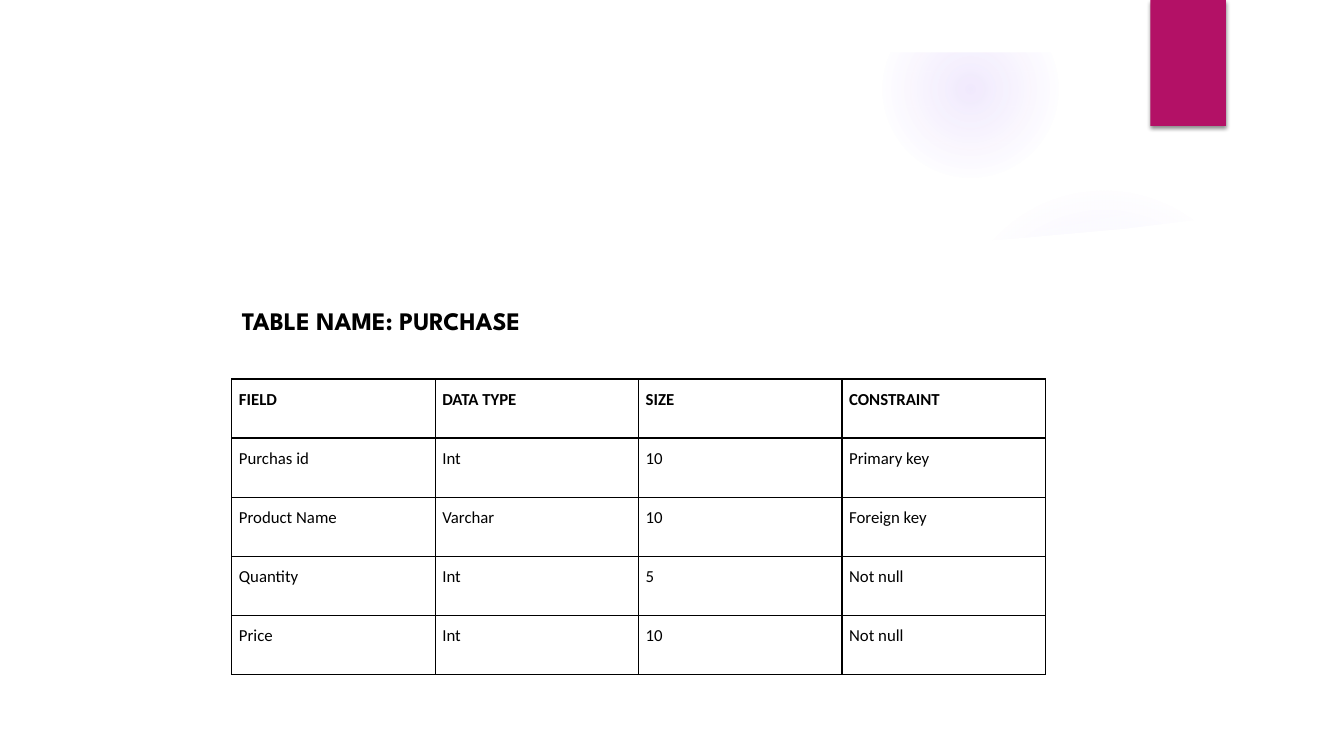
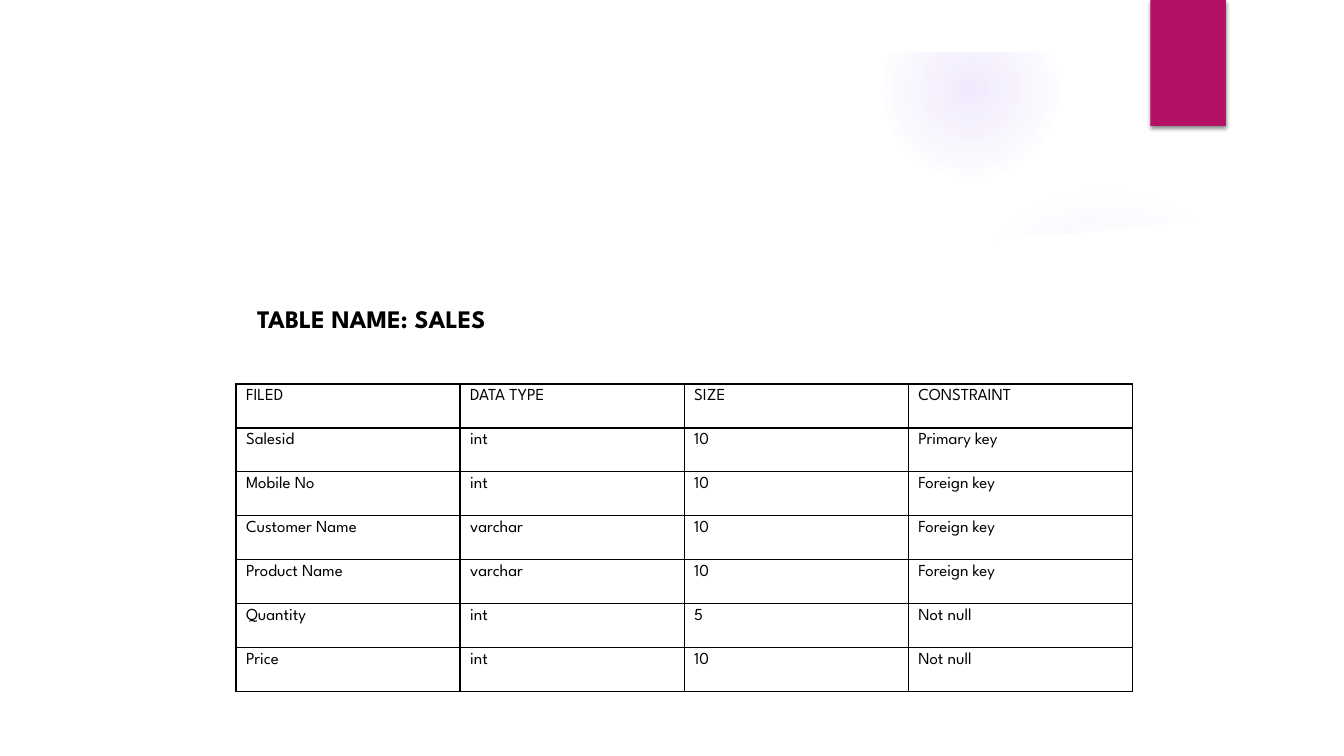
import dataclasses
from typing import Optional

import pptx
import pptx.dml.color
import pptx.enum.shapes
import pptx.enum.text
import pptx.oxml
import pptx.oxml.ns
import pptx.util
from pptx.util import Inches

SHAPE = pptx.enum.shapes.MSO_SHAPE
A_NS = pptx.oxml.ns.nsdecls("a")
qn = pptx.oxml.ns.qn


@dataclasses.dataclass(frozen=True)
class Theme:
    paper: str = "FFFFFF"
    ink: str = "000000"
    accent: str = "B31166"
    glow: str = "9B6BF2"
    display: str = "League Spartan"
    body: str = "Calibri"
    title_size: float = 18
    cell_size: float = 12
    border: float = 1


THEME = Theme()


@dataclasses.dataclass(frozen=True)
class Glow:
    left: float
    top: float
    size: float
    stops: tuple[tuple[int, int], ...]  # position and opacity, in percent


@dataclasses.dataclass(frozen=True)
class CellStyle:
    font: str
    bold_header: bool = False
    fill: Optional[str] = None
    margin_x: float = 0.1
    margin_y: float = 0.05
    line_spacing: Optional[float] = None
    before: float = 0
    after: float = 0


@dataclasses.dataclass(frozen=True)
class SchemaSlide:
    title: str
    title_box: tuple[float, float, float, float]
    title_margin: float
    table_box: tuple[float, float, float, float]
    style: CellStyle
    rows: tuple[tuple[str, ...], ...]


GLOWS = (
    Glow(9.41, 1.83, 3.08, ((0, 7), (36, 6), (69, 0))),
    Glow(8.75, 0.01, 1.75, ((0, 14), (36, 7), (73, 0))),
)

# Outlines in inches
SHEEN = ((9.34, 2.5), (10, 2.48), (11.5, 2.33), (12.89, 2.14), (12.83, 1.66),
         (12.25, 1.85), (11.67, 2), (11.09, 2.14), (10.53, 2.25),
         (9.99, 2.34), (9.49, 2.41), (9.3, 2.43))
PANEL = ((0.5, 2.04), (0.5, 7), (12.84, 7), (12.84, 2.04), (12.28, 2.13),
         (11.72, 2.2), (11.16, 2.27), (10.6, 2.32), (10.04, 2.37),
         (9.49, 2.41), (8.94, 2.44), (8.4, 2.46), (7.6, 2.47), (6.82, 2.48),
         (6.07, 2.47), (5.35, 2.45), (4.44, 2.41), (3.6, 2.36), (2.83, 2.3),
         (2.16, 2.24), (1.59, 2.18), (1.13, 2.12), (0.79, 2.08))

SLIDES = (
    SchemaSlide(
        "TABLE NAME: PURCHASE", (2.3, 2.98, 5.63, 0.4), 0.1,
        (2.3, 3.76, 8.07, 2.93),
        CellStyle(THEME.body, bold_header=True, fill=THEME.paper, margin_x=0.07,
                  margin_y=0, line_spacing=1.5, before=5, after=10),
        (("FIELD", "DATA TYPE", "SIZE", "CONSTRAINT"),
         ("Purchas id", "Int", "10", "Primary key"),
         ("Product Name", "Varchar", "10", "Foreign key"),
         ("Quantity", "Int", "5", "Not null"),
         ("Price", "Int", "10", "Not null")),
    ),
    SchemaSlide(
        "TABLE NAME: SALES", (2.33, 2.96, 5.66, 0.4), 0.22,
        (2.34, 3.81, 8.89, 3.05),
        CellStyle(THEME.display),
        (("FILED", "DATA TYPE", "SIZE", "CONSTRAINT"),
         ("Salesid", "int", "10", "Primary key"),
         ("Mobile No", "int", "10", "Foreign key"),
         ("Customer Name", "varchar", "10", "Foreign key"),
         ("Product Name", "varchar", "10", "Foreign key"),
         ("Quantity", "int", "5", "Not null"),
         ("Price", "int", "10", "Not null")),
    ),
)


def rgb(color: str) -> pptx.dml.color.RGBColor:
    return pptx.dml.color.RGBColor.from_string(color)


def write_text(tf, text: str, *, font: str, size: float, bold: bool = False,
               color: str = THEME.ink, line_spacing: Optional[float] = None,
               before: float = 0, after: float = 0) -> None:
    p = tf.paragraphs[0]
    p.alignment = pptx.enum.text.PP_ALIGN.LEFT
    p.space_before, p.space_after = pptx.util.Pt(before), pptx.util.Pt(after)
    if line_spacing:
        p.line_spacing = line_spacing
    r = p.add_run()
    r.text = text
    r.font.name, r.font.size, r.font.bold = font, pptx.util.Pt(size), bold
    r.font.color.rgb = rgb(color)


# Backdrop
def paint(sp, color: str, opacity: int = 100) -> None:
    sp.shadow.inherit = False
    sp.line.fill.background()
    sp.fill.solid()
    sp.fill.fore_color.rgb = rgb(color)
    if opacity < 100:
        clr = sp.element.spPr.find(qn("a:solidFill"))[0]
        clr.append(pptx.oxml.parse_xml(
            f'<a:alpha {A_NS} val="{opacity * 1000}"/>'))


def add_glow(s, glow: Glow):
    sp = s.shapes.add_shape(SHAPE.OVAL, Inches(glow.left), Inches(glow.top),
                            Inches(glow.size), Inches(glow.size))
    paint(sp, THEME.glow)
    stops = "".join(
        f'<a:gs pos="{pos * 1000}"><a:srgbClr val="{THEME.glow}">'
        f'<a:alpha val="{opacity * 1000}"/></a:srgbClr></a:gs>'
        for pos, opacity in glow.stops)
    gradient = pptx.oxml.parse_xml(
        f'<a:gradFill {A_NS} rotWithShape="1"><a:gsLst>{stops}</a:gsLst>'
        '<a:path path="circle"><a:fillToRect l="50000" t="50000" r="50000" '
        'b="50000"/></a:path></a:gradFill>')
    spPr = sp.element.spPr
    spPr.replace(spPr.find(qn("a:solidFill")), gradient)
    return sp


def add_outline(s, points: tuple[tuple[float, float], ...], opacity: int = 100):
    corners = [(Inches(x), Inches(y)) for x, y in points]
    builder = s.shapes.build_freeform(*corners[0])
    builder.add_line_segments(corners[1:], close=True)
    sp = builder.convert_to_shape()
    paint(sp, THEME.paper, opacity)
    return sp


def add_frame(s, width: int, height: int):
    sp = s.shapes.add_shape(SHAPE.FRAME, 0, 0, width, height)
    sp.adjustments[0] = Inches(0.52) / height
    paint(sp, THEME.paper)
    return sp


def add_tab(s):
    sp = s.shapes.add_shape(SHAPE.RECTANGLE, Inches(11.41), 0,
                            Inches(0.75), Inches(1.25))
    paint(sp, THEME.accent)
    sp.element.spPr.find(qn("a:effectLst")).append(pptx.oxml.parse_xml(
        f'<a:outerShdw {A_NS} blurRad="{pptx.util.Pt(3)}" '
        f'dist="{pptx.util.Pt(2)}" dir="5400000" rotWithShape="0">'
        f'<a:srgbClr val="{THEME.ink}"><a:alpha val="45000"/></a:srgbClr>'
        '</a:outerShdw>'))
    return sp


def add_backdrop(prs, s, layout) -> None:
    """Draw the backdrop on a slide, then move it to the back of its layout."""
    shapes = [add_glow(s, glow) for glow in GLOWS]
    shapes += [add_outline(s, SHEEN, 20), add_outline(s, PANEL),
               add_frame(s, prs.slide_width, prs.slide_height), add_tab(s)]
    for i, sp in enumerate(shapes):
        sp.element.nvSpPr.cNvPr.set("id", str(100 + i))
        layout.shapes.element.insert(2 + i, sp.element)


# Title and table
def add_title(s, schema: SchemaSlide) -> None:
    sp = s.shapes.title
    sp.left, sp.top, sp.width, sp.height = map(Inches, schema.title_box)
    tf = sp.text_frame
    tf.word_wrap = True
    tf.auto_size = pptx.enum.text.MSO_AUTO_SIZE.SHAPE_TO_FIT_TEXT
    tf.vertical_anchor = pptx.enum.text.MSO_ANCHOR.TOP
    tf.margin_left = Inches(schema.title_margin)
    write_text(tf, schema.title, font=THEME.display, size=THEME.title_size,
               bold=True)


def add_borders(cell) -> None:
    tcPr = cell._tc.get_or_add_tcPr()
    for i, side in enumerate("LRTB"):
        tcPr.insert(i, pptx.oxml.parse_xml(
            f'<a:ln{side} {A_NS} w="{pptx.util.Pt(THEME.border)}"><a:solidFill>'
            f'<a:srgbClr val="{THEME.ink}"/></a:solidFill></a:ln{side}>'))


def format_cell(cell, text: str, style: CellStyle, bold: bool) -> None:
    cell.margin_left = cell.margin_right = Inches(style.margin_x)
    cell.margin_top = cell.margin_bottom = Inches(style.margin_y)
    if style.fill:
        cell.fill.solid()
        cell.fill.fore_color.rgb = rgb(style.fill)
    else:
        cell.fill.background()
    add_borders(cell)
    write_text(cell.text_frame, text, font=style.font, size=THEME.cell_size,
               bold=bold, line_spacing=style.line_spacing,
               before=style.before, after=style.after)


def add_schema_table(s, schema: SchemaSlide) -> None:
    rows = schema.rows
    table = s.shapes.add_table(len(rows), len(rows[0]),
                               *map(Inches, schema.table_box)).table
    table.first_row = table.horz_banding = False
    for i, row in enumerate(rows):
        for j, text in enumerate(row):
            format_cell(table.cell(i, j), text, schema.style,
                        schema.style.bold_header and i == 0)


def main() -> None:
    prs = pptx.Presentation()
    prs.slide_width, prs.slide_height = Inches(13.33), Inches(7.5)
    layout = prs.slide_layouts[5]
    for i, schema in enumerate(SLIDES):
        s = prs.slides.add_slide(layout)
        if i == 0:
            add_backdrop(prs, s, layout)
        add_title(s, schema)
        add_schema_table(s, schema)
    prs.save("out.pptx")


if __name__ == "__main__":
    main()
